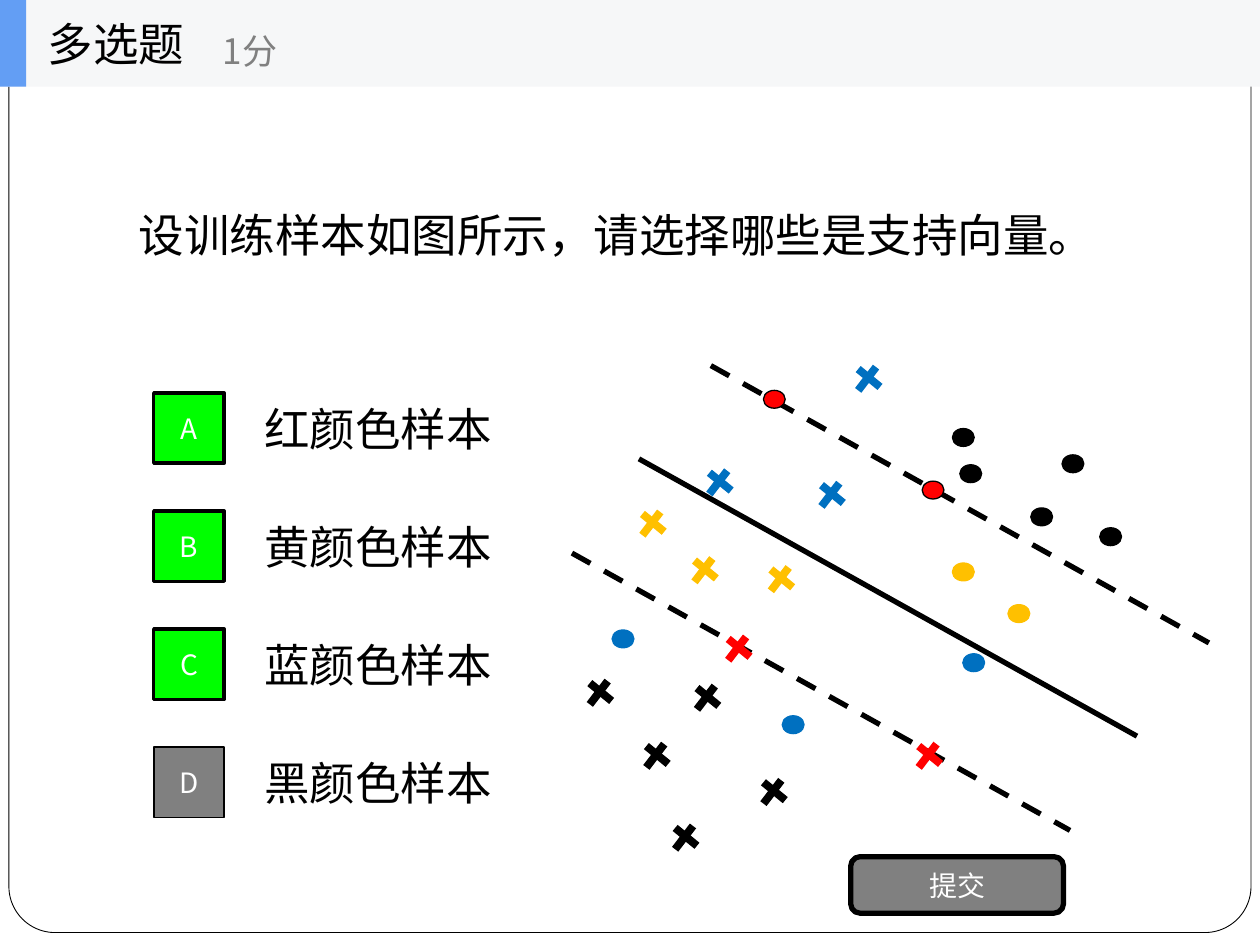
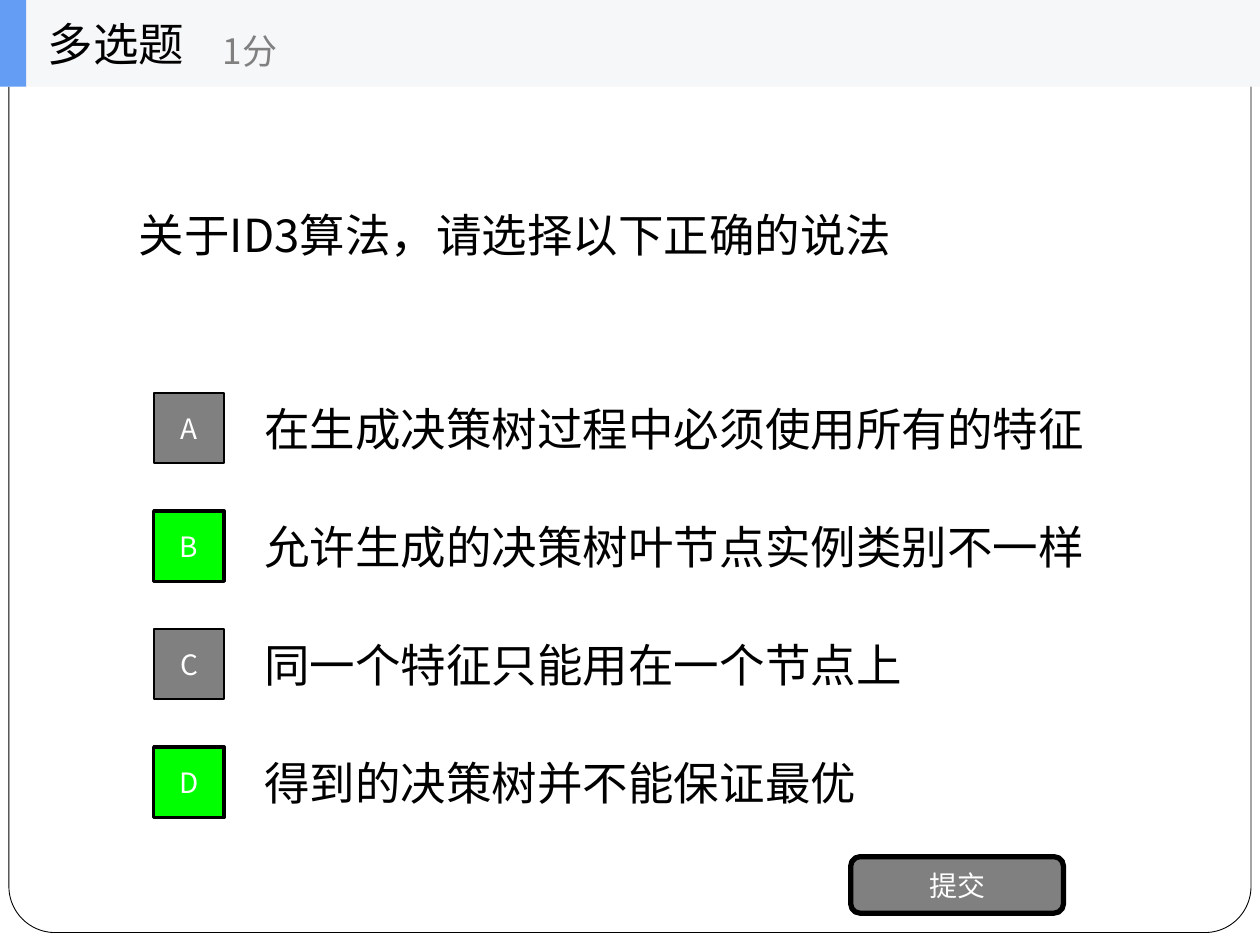
from lxml.etree import SubElement
from pptx import Presentation
from pptx.dml.color import RGBColor
from pptx.enum.dml import MSO_LINE
from pptx.enum.shapes import MSO_CONNECTOR, MSO_SHAPE
from pptx.enum.text import MSO_ANCHOR, MSO_AUTO_SIZE, PP_ALIGN
from pptx.oxml.ns import qn
from pptx.util import Cm, Pt

# Content
HEADING, SCORE, SUBMIT = "多选题", "1分", "提交"
QUESTIONS = [
    {
        "question": "设训练样本如图所示，请选择哪些是支持向量。",
        "options": ["红颜色样本", "黄颜色样本", "蓝颜色样本", "黑颜色样本"],
        "correct": "ABC",
        "option_width": 7.87,
        "has_samples": True,
    },
    {
        "question": "关于ID3算法，请选择以下正确的说法",
        "options": [
            "在生成决策树过程中必须使用所有的特征",
            "允许生成的决策树叶节点实例类别不一样",
            "同一个特征只能用在一个节点上",
            "得到的决策树并不能保证最优",
        ],
        "correct": "BD",
        "option_width": 17.78,
        "has_samples": False,
    },
]

# Sample diagram: left and top of each mark, in cm
CROSSES = {
    "yellow": [(12.95, 10.36), (14, 11.3), (15.54, 11.48)],
    "blue": [(16.56, 9.78), (14.3, 9.53), (17.3, 7.44)],
    "black": [(11.89, 13.77), (15.39, 15.77), (14.05, 13.87), (13.61, 16.69), (13.03, 15.04)],
    "red": [(18.52, 15.04), (14.68, 12.88)],
}
DOTS = {
    "red": [(15.39, 7.87), (18.59, 9.7)],
    "blue": [(15.77, 14.43), (19.41, 13.18), (12.34, 12.7)],
    "yellow": [(20.32, 12.19), (19.2, 11.35)],
    "black": [(20.78, 10.24), (22.17, 10.64), (19.35, 9.37), (19.2, 8.64), (21.41, 9.17)],
}
BOUNDARY = (12.88, 9.25)
MARGINS = [(11.53, 11.15), (14.33, 7.37)]
BOUNDARY_RUN, BOUNDARY_DROP = 10.04, 5.59

# Style
COLORS = {
    "black": "000000", "white": "FFFFFF", "gray": "808080", "green": "00FF00",
    "red": "FF0000", "yellow": "FFC000", "blue": "0070C0",
    "band": "F6F7F8", "accent": "639EF4",
}
FONT = "Noto Sans CJK SC"
SLIDE_WIDTH, SLIDE_HEIGHT = 25.4, 19.05
BAND_HEIGHT = 1.75
OPTION_TOP, OPTION_PITCH, OPTION_HEIGHT = 7.74, 2.38, 1.78
LETTER_SIZE = 1.42


def color(name):
    return RGBColor.from_string(COLORS[name])


def write(shape, text, size=26, ink="black", align=PP_ALIGN.LEFT):
    frame = shape.text_frame
    frame.text = text
    frame.word_wrap = True
    frame.auto_size = MSO_AUTO_SIZE.NONE
    frame.vertical_anchor = MSO_ANCHOR.MIDDLE
    paragraph = frame.paragraphs[0]
    paragraph.alignment = align
    font = paragraph.runs[0].font
    font.size, font.name = Pt(size), FONT
    font.color.rgb = color(ink)
    SubElement(paragraph.runs[0].font._element, qn("a:ea")).set("typeface", FONT)


def place(shape, left, top, width, height):
    shape.left, shape.top, shape.width, shape.height = map(Cm, (left, top, width, height))


def add_label(slide, box, text, **style):
    write(slide.shapes.add_textbox(*map(Cm, box)), text, **style)


def add_block(slide, kind, box, fill, outline=None, weight=1):
    block = slide.shapes.add_shape(kind, *map(Cm, box))
    block.shadow.inherit = False
    block.fill.solid()
    block.fill.fore_color.rgb = color(fill)
    if outline:
        block.line.color.rgb = color(outline)
        block.line.width = Pt(weight)
    else:
        block.line.fill.background()
    return block


def add_line(slide, start, end, ink="black", weight=3, dash=None):
    line = slide.shapes.add_connector(MSO_CONNECTOR.STRAIGHT, *map(Cm, start + end))
    line.line.color.rgb = color(ink)
    line.line.width = Pt(weight)
    if dash:
        line.line.dash_style = dash
    SubElement(line._element.spPr, qn("a:effectLst"))


def add_frame_to_layout(slide):
    """Put the rounded page frame behind every slide of this layout."""
    card = add_block(slide, MSO_SHAPE.ROUNDED_RECTANGLE, (0.18, 0.2, 25.04, 18.6),
                     "white", "black", 0.5)
    card.adjustments[0] = 0.05
    slide.slide_layout.shapes._spTree.append(card._element)


def add_header(slide):
    add_block(slide, MSO_SHAPE.RECTANGLE, (0, 0, SLIDE_WIDTH, BAND_HEIGHT), "band")
    add_block(slide, MSO_SHAPE.RECTANGLE, (0, 0, 0.53, BAND_HEIGHT), "accent")
    add_label(slide, (0.71, 0, 5.28, BAND_HEIGHT), HEADING)
    add_label(slide, (4.24, 0.3, 6.35, 1.42), SCORE, size=20, ink="gray")


def add_options(slide, options, correct, width):
    for row, (letter, option) in enumerate(zip("ABCD", options)):
        top = OPTION_TOP + row * OPTION_PITCH
        add_label(slide, (5.08, top, width, OPTION_HEIGHT), option)
        fill, weight = ("green", 2) if letter in correct else ("gray", 1)
        inset = (OPTION_HEIGHT - LETTER_SIZE) / 2
        button = add_block(slide, MSO_SHAPE.RECTANGLE,
                           (3.1, top + inset, LETTER_SIZE, LETTER_SIZE),
                           fill, "black", weight)
        write(button, letter, size=16, ink="white", align=PP_ALIGN.CENTER)


def add_submit(slide):
    button = add_block(slide, MSO_SHAPE.ROUNDED_RECTANGLE, (17.15, 17.27, 4.29, 1.14),
                       "gray", "black", 3)
    write(button, SUBMIT, size=16, ink="white", align=PP_ALIGN.CENTER)


def add_samples(slide):
    # Separating line and its two margins
    for (x, y), dash in [(BOUNDARY, None)] + [(m, MSO_LINE.DASH) for m in MARGINS]:
        add_line(slide, (x, y), (x + BOUNDARY_RUN, y + BOUNDARY_DROP), dash=dash)
    # Two classes of samples
    for ink, corners in CROSSES.items():
        for x, y in corners:
            add_line(slide, (x, y), (x + 0.44, y + 0.36), ink, 4.5)
            add_line(slide, (x + 0.36, y - 0.04), (x, y + 0.43), ink, 4.5)
    for ink, corners in DOTS.items():
        outline = "black" if ink == "red" else ink
        for x, y in corners:
            add_block(slide, MSO_SHAPE.OVAL, (x, y, 0.44, 0.36), ink, outline, 0.75)


def main():
    deck = Presentation()
    deck.slide_width, deck.slide_height = Cm(SLIDE_WIDTH), Cm(SLIDE_HEIGHT)
    title_only = deck.slide_layouts[5]
    for number, item in enumerate(QUESTIONS):
        slide = deck.slides.add_slide(title_only)
        if number == 0:
            add_frame_to_layout(slide)
        question = slide.shapes.title
        place(question, 2.54, BAND_HEIGHT, 20.32, 5.94)
        write(question, item["question"])
        add_options(slide, item["options"], item["correct"], item["option_width"])
        add_submit(slide)
        if item["has_samples"]:
            add_samples(slide)
        add_header(slide)
    deck.save("out.pptx")


if __name__ == "__main__":
    main()
